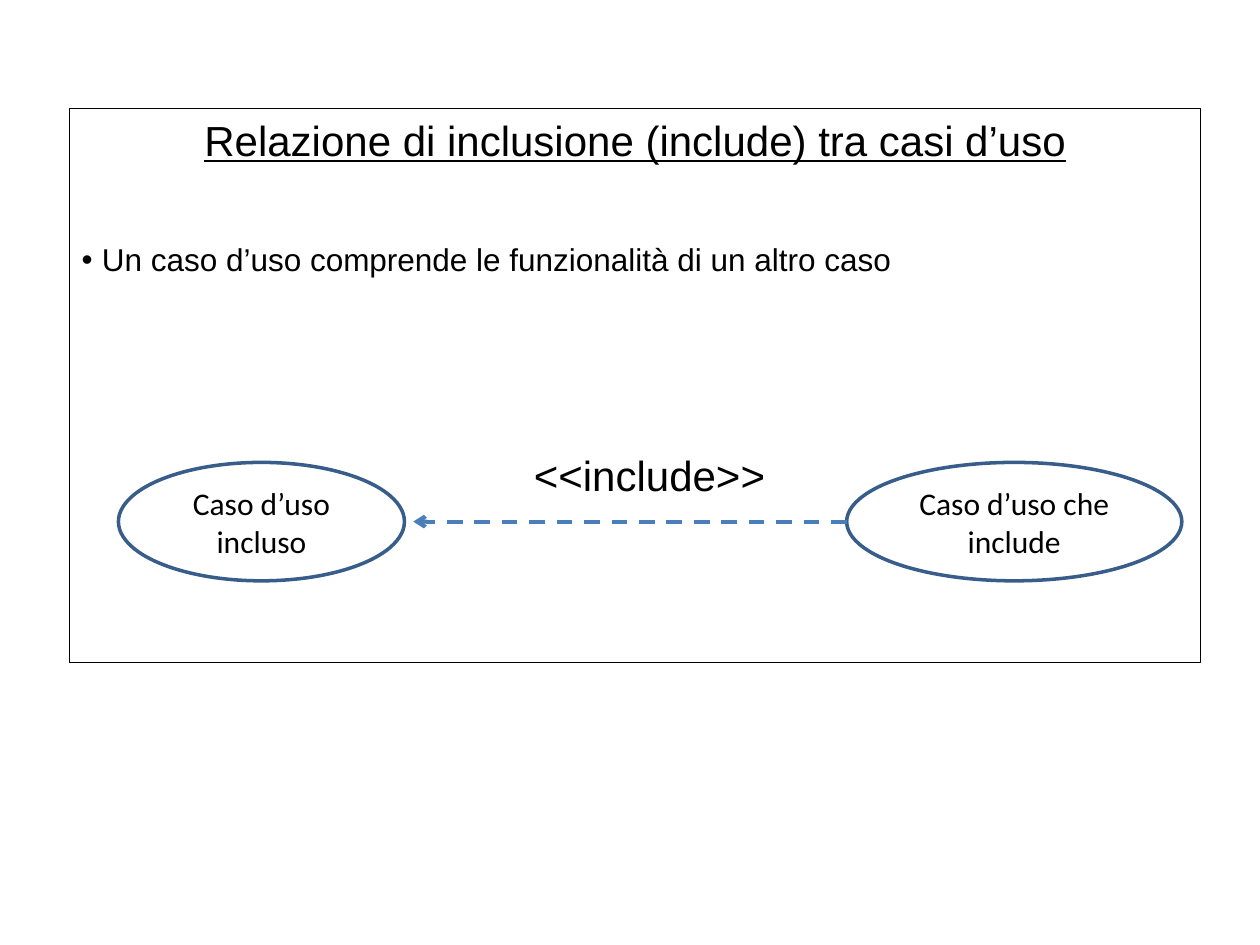
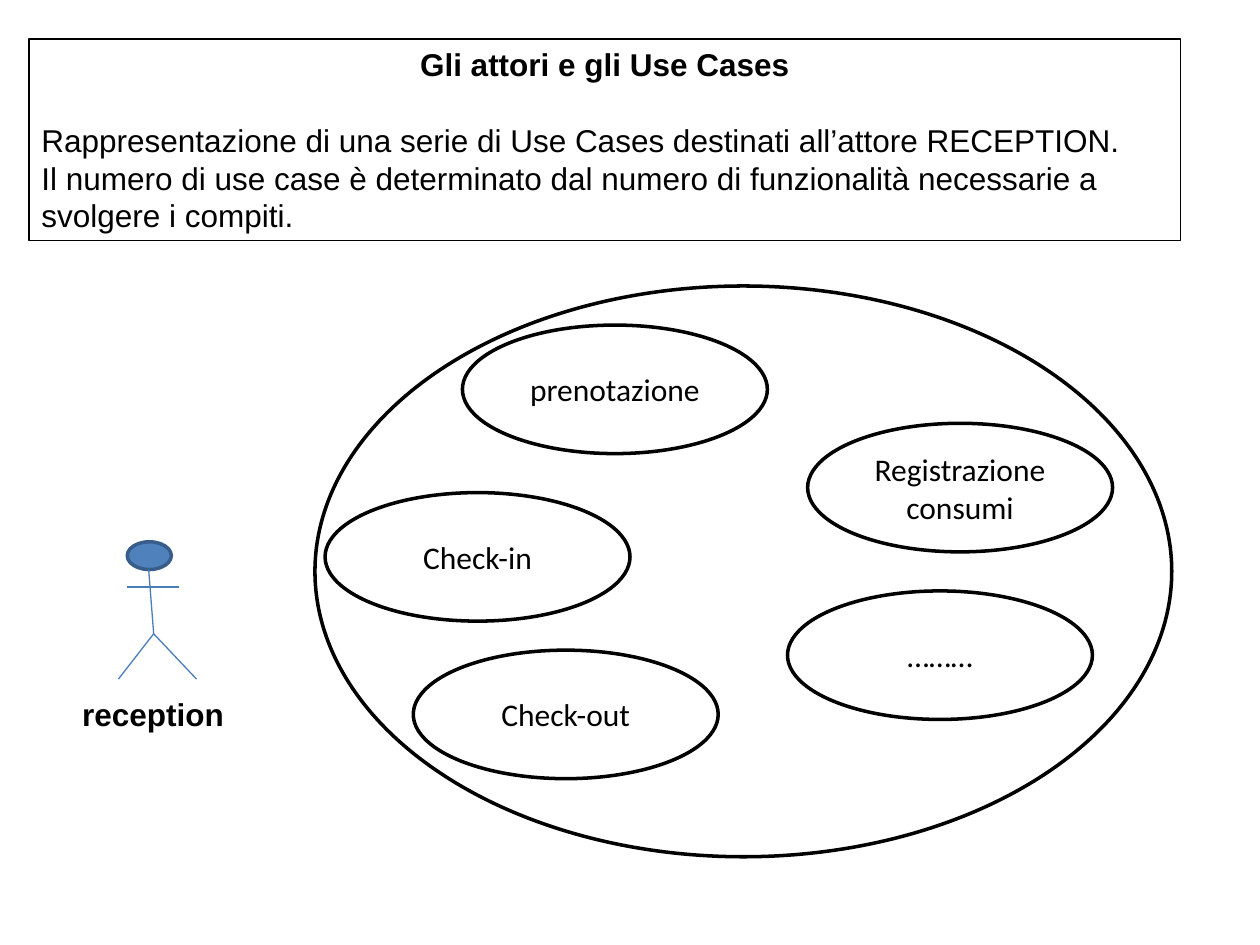
from lxml import etree
from pptx import Presentation
from pptx.dml.color import RGBColor
from pptx.enum.dml import MSO_LINE_DASH_STYLE as Dash
from pptx.enum.shapes import MSO_CONNECTOR as Connector, MSO_SHAPE as Shape
from pptx.enum.text import MSO_ANCHOR as Anchor, PP_ALIGN as Align
from pptx.oxml.ns import qn
from pptx.util import Inches, Pt

COLORS = {"ink": "000000", "outline": "385D8A", "line": "4A7EBB", "head": "4F81BD"}
BODY_SIZE = 18
LINE_RATIO = 1.2
BULLET_INDENT = 0.16


def color(name):
    """Return the named colour."""
    return RGBColor.from_string(COLORS[name])


def style(para, size=BODY_SIZE, font="Arial", align=Align.LEFT, bold=False, underline=False):
    """Set the alignment and font of a paragraph."""
    para.alignment = align
    para.font.size = Pt(size)
    para.font.name = font
    para.font.bold = bold
    para.font.underline = underline
    para.font.color.rgb = color("ink")
    if font == "Arial":
        para.line_spacing = Pt(size * LINE_RATIO)


def add_bullet(para):
    """Give a paragraph a round bullet with a hanging indent."""
    props = para._p.get_or_add_pPr()
    props.set("marL", str(Inches(BULLET_INDENT)))
    props.set("indent", str(-Inches(BULLET_INDENT)))
    etree.SubElement(props, qn("a:buFont")).set("typeface", "Arial")
    etree.SubElement(props, qn("a:buChar")).set("char", "•")


def add_outline(shapes, kind, box, line, width, fill=None):
    """Add a preset shape with an outline and an optional fill."""
    shape = shapes.add_shape(kind, *map(Inches, box))
    shape.shadow.inherit = False
    if fill:
        shape.fill.solid()
        shape.fill.fore_color.rgb = color(fill)
    else:
        shape.fill.background()
    shape.line.color.rgb = color(line)
    shape.line.width = Pt(width)
    return shape


def add_line(shapes, start, end, width=0.75):
    """Add a straight blue line without a shadow."""
    line = shapes.add_connector(Connector.STRAIGHT, *map(Inches, (*start, *end)))
    line.line.color.rgb = color("line")
    line.line.width = Pt(width)
    etree.SubElement(line._element.spPr, qn("a:effectLst"))
    return line


def add_label(page, box, text, **font):
    """Add a centred one-line label."""
    label = page.shapes.add_textbox(*map(Inches, box))
    label.text_frame.word_wrap = False
    label.text_frame.text = text
    style(label.text_frame.paragraphs[0], align=Align.CENTER, **font)


def add_panel(page, box, title, lines, blank_lines, bulleted=False, **title_font):
    """Add a framed panel with a centred title above its lines."""
    frame = add_outline(page.shapes, Shape.RECTANGLE, box, "ink", 0.75).text_frame
    frame.word_wrap = True
    frame.vertical_anchor = Anchor.TOP
    frame.text = "\n".join([title, *lines])
    heading, *body = frame.paragraphs
    style(heading, align=Align.CENTER, **title_font)
    for para in body:
        if bulleted:
            add_bullet(para)
        style(para)
    body[0].space_before = Pt(blank_lines * BODY_SIZE * LINE_RATIO)


def add_use_case(page, box, text, line="ink"):
    """Add an ellipse that names a use case."""
    frame = add_outline(page.shapes, Shape.OVAL, box, line, 2).text_frame
    frame.word_wrap = True
    frame.vertical_anchor = Anchor.MIDDLE
    frame.text = text
    for para in frame.paragraphs:
        style(para, font="Calibri", align=Align.CENTER)


def add_include_relation(page, left, top):
    """Draw the dashed include arrow between two use cases."""
    height, including_left, middle = 0.94, left + 5.78, top + 0.47
    add_use_case(page, (left, top, 2.27, height), "Caso d’uso incluso", "outline")
    add_use_case(page, (including_left, top, 2.66, height), "Caso d’uso che include", "outline")
    arrow = add_line(page.shapes, (including_left, middle), (left + 2.34, middle), 2.25)
    arrow.line.dash_style = Dash.DASH
    etree.SubElement(arrow.line._get_or_add_ln(), qn("a:tailEnd")).set("type", "arrow")
    add_label(page, (left + 2.81, top - 0.15, 2.81, 0.5), "<<include>>", size=24)


def add_actor(page, left, top, name):
    """Draw a stick figure with its name below."""
    figure = page.shapes.add_group_shape().shapes
    add_outline(figure, Shape.OVAL, (left + 0.07, top, 0.35, 0.22), "outline", 2, "head")
    neck, hip = (left + 0.24, top + 0.22), (left + 0.28, top + 0.73)
    add_line(figure, hip, neck)
    add_line(figure, (left + 0.07, top + 0.36), (left + 0.48, top + 0.36))
    for foot in (0, 0.62):
        add_line(figure, hip, (left + foot, top + 1.09))
    add_label(page, (left - 0.39, top + 1.17, 1.33, 0.4), name, bold=True)


def add_system(page, left, top, width, height):
    """Draw the system ellipse and the use cases inside it."""
    add_outline(page.shapes, Shape.OVAL, (left, top, width, height), "ink", 2)
    cases = [
        (1.17, 0.31, "prenotazione"),
        (3.91, 1.09, "Registrazione\nconsumi"),
        (0.08, 1.64, "Check-in"),
        (3.75, 2.42, "………"),
        (0.78, 2.89, "Check-out"),
    ]
    for across, down, text in cases:
        add_use_case(page, (left + across, top + down, 2.42, 1.02), text)


def build_inclusion_page(page):
    """Build the slide on the include relation."""
    add_panel(page, (0.55, 0.86, 8.98, 4.4), "Relazione di inclusione (include) tra casi d’uso",
              ["Un caso d’uso comprende le funzionalità di un altro caso"],
              blank_lines=2, bulleted=True, size=24, underline=True)
    add_include_relation(page, 0.94, 3.67)


def build_actors_page(page):
    """Build the slide on the reception actor and its use cases."""
    add_panel(page, (0.23, 0.31, 9.14, 1.6), "Gli attori e gli Use Cases",
              ["Rappresentazione di una serie di Use Cases destinati all’attore RECEPTION.",
               "Il numero di use case è determinato dal numero di funzionalità necessarie "
               "a svolgere i compiti."],
              blank_lines=1, bold=True)
    add_system(page, 2.5, 2.27, 6.8, 4.53)
    add_actor(page, 0.94, 4.3, "reception")


def main():
    """Build and save the deck."""
    deck = Presentation()
    deck.slide_width, deck.slide_height = Inches(10), Inches(7.5)
    for build in (build_inclusion_page, build_actors_page):
        build(deck.slides.add_slide(deck.slide_layouts[6]))
    deck.save("out.pptx")


if __name__ == "__main__":
    main()
